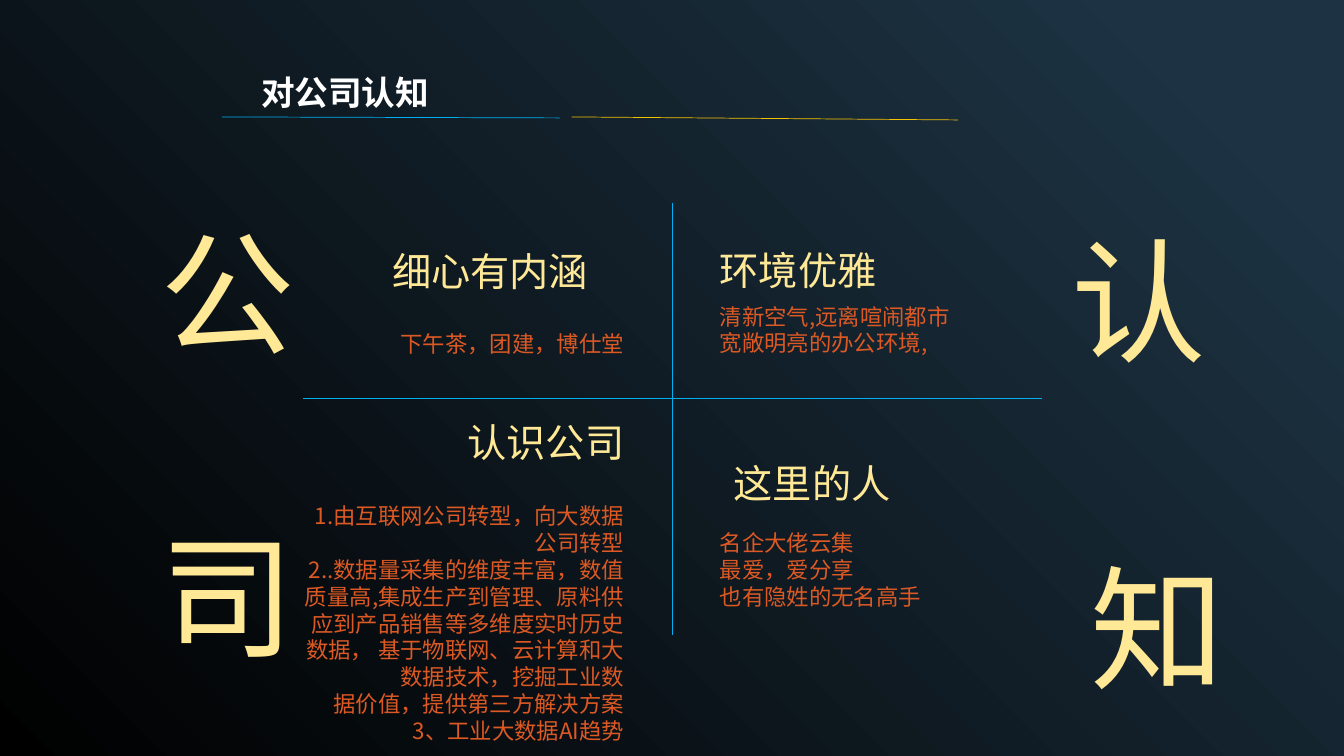
import dataclasses

import lxml.etree
import pptx
import pptx.dml.color
import pptx.enum.shapes
import pptx.enum.text
import pptx.oxml.ns
import pptx.util

PX = 9144  # EMU per px, 100 px to the inch
ALIGN = pptx.enum.text.PP_ALIGN
COMPARISON_LAYOUT = 4  # a title and four body placeholders


@dataclasses.dataclass(frozen=True)
class Theme:
    font: str = "Noto Sans CJK SC"
    dark: str = "000000"
    navy: str = "1D3343"
    blue: str = "00B0F0"
    gold: str = "F5C201"
    cream: str = "FFE996"
    orange: str = "DC5924"
    white: str = "FFFFFF"
    huge: int = 96
    heading: int = 28
    title: int = 24
    body: int = 16
    rule: float = 0.5
    leading: float = 1.2


THEME = Theme()

# Text, left, top, width
BIG_CHARACTERS = [
    ("公", 149, 190, 132),
    ("认", 1053, 198, 132),
    ("司", 149, 491, 128),
    ("知", 1072, 522, 112),
]

# Heading, its place and alignment; body lines, their place and alignment
QUADRANTS = [
    ("细心有内涵", (343, 236, 286, 57), ALIGN.CENTER,
     ["下午茶，团建，博仕堂"], (258, 320, 371, 37), ALIGN.RIGHT),
    ("环境优雅", (704, 235, 272, 57), ALIGN.LEFT,
     ["清新空气,远离喧闹都市", "宽敞明亮的办公环境,"],
     (704, 293, 353, 91), ALIGN.LEFT),
    ("认识公司", (343, 406, 286, 57), ALIGN.RIGHT,
     ["1.由互联网公司转型，向大数据公司转型",
      "2..数据量采集的维度丰富，数值质量高,集成生产到管理、原料供应到产品销售等"
      "多维度实时历史数据， 基于物联网、云计算和大数据技术，挖掘工业数",
      "据价值，提供第三方解决方案",
      "3、工业大数据AI趋势"],
     (291, 491, 338, 279), ALIGN.RIGHT),
    ("这里的人", (718, 447, 272, 57), ALIGN.LEFT,
     ["名企大佬云集", "最爱，爱分享", "也有隐姓的无名高手"],
     (704, 518, 353, 118), ALIGN.LEFT),
]

# Start, end, colour
RULES = [
    ((301, 395), (1033, 395), THEME.blue),
    ((667, 201), (667, 630), THEME.blue),
    ((567, 116), (950, 119), THEME.gold),
    ((220, 116), (555, 117), THEME.blue),
]


def px(length):
    return pptx.util.Emu(round(length * PX))


def rgb(code):
    return pptx.dml.color.RGBColor.from_string(code)


def apply_format(target, values):
    for name, value in values.items():
        setattr(target, name, value)


def add_xml(parent, tag, **attributes):
    return lxml.etree.SubElement(parent, pptx.oxml.ns.qn(tag), **attributes)


def paint_background(slide):
    fill = slide.background.fill
    fill.gradient()
    fill.gradient_angle = 45
    stops = [(0, THEME.dark), (0.9, THEME.navy)]
    for stop, (position, color) in zip(fill.gradient_stops, stops):
        stop.position = position
        stop.color.rgb = rgb(color)


def add_rule(slide, start, end, color):
    line = slide.shapes.add_connector(
        pptx.enum.shapes.MSO_CONNECTOR.STRAIGHT,
        *(px(value) for value in start + end))
    line.line.color.rgb = rgb(color)
    line.line.width = pptx.util.Pt(THEME.rule)
    add_xml(line._element.spPr, "a:effectLst")


def write_text(box, place, lines, size, color, align, bold=False, wrap=True):
    """Place a box or placeholder and fill it with one paragraph per line."""
    apply_format(box, dict(zip(("left", "top", "width", "height"),
                               map(px, place))))
    frame = box.text_frame
    apply_format(frame, {
        "text": "\n".join(lines),
        "word_wrap": wrap,
        "auto_size": pptx.enum.text.MSO_AUTO_SIZE.NONE,
        "vertical_anchor": pptx.enum.text.MSO_ANCHOR.TOP,
        "margin_left": px(10),
        "margin_right": px(10),
        "margin_top": px(5 + size * 0.14),  # a tenth of the type size lower
        "margin_bottom": px(5),
    })
    for para in frame.paragraphs:
        apply_format(para, {
            "alignment": align,
            "line_spacing": pptx.util.Pt(size * THEME.leading),
            "space_before": pptx.util.Pt(0),
            "space_after": pptx.util.Pt(0),
        })
        properties = para._p.get_or_add_pPr()
        properties.set("marL", "0")
        properties.set("indent", "0")
        add_xml(properties, "a:buNone")
        for span in para.runs:
            apply_format(span.font, {
                "name": THEME.font,
                "size": pptx.util.Pt(size),
                "bold": bold,
            })
            span.font.color.rgb = rgb(color)
            add_xml(span._r.get_or_add_rPr(), "a:ea", typeface=THEME.font)


def add_label(slide, place, text, size, align):
    box = slide.shapes.add_textbox(0, 0, 0, 0)
    write_text(box, place, [text], size, THEME.cream, align)


def main():
    deck = pptx.Presentation()
    deck.slide_width, deck.slide_height = px(1333), px(750)
    page = deck.slides.add_slide(deck.slide_layouts[COMPARISON_LAYOUT])
    paint_background(page)

    # Dividing cross and title underlines
    for start, end, color in RULES:
        add_rule(page, start, end, color)

    # Large characters at the corners
    for text, left, top, width in BIG_CHARACTERS:
        add_label(page, (left, top, width, 172), text, THEME.huge,
                  ALIGN.CENTER)

    # Four quadrants, each a heading over a body placeholder
    bodies = [holder for holder in page.placeholders
              if holder.placeholder_format.idx > 0]
    for body, quadrant in zip(bodies, QUADRANTS):
        heading, heading_place, heading_align, lines, place, align = quadrant
        add_label(page, heading_place, heading, THEME.heading, heading_align)
        write_text(body, place, lines, THEME.body, THEME.orange, align)

    # Title
    write_text(page.shapes.title, (249, 63, 187, 50), ["对公司认知"],
               THEME.title, THEME.white, ALIGN.LEFT, bold=True, wrap=False)

    deck.save("out.pptx")


if __name__ == "__main__":
    main()
